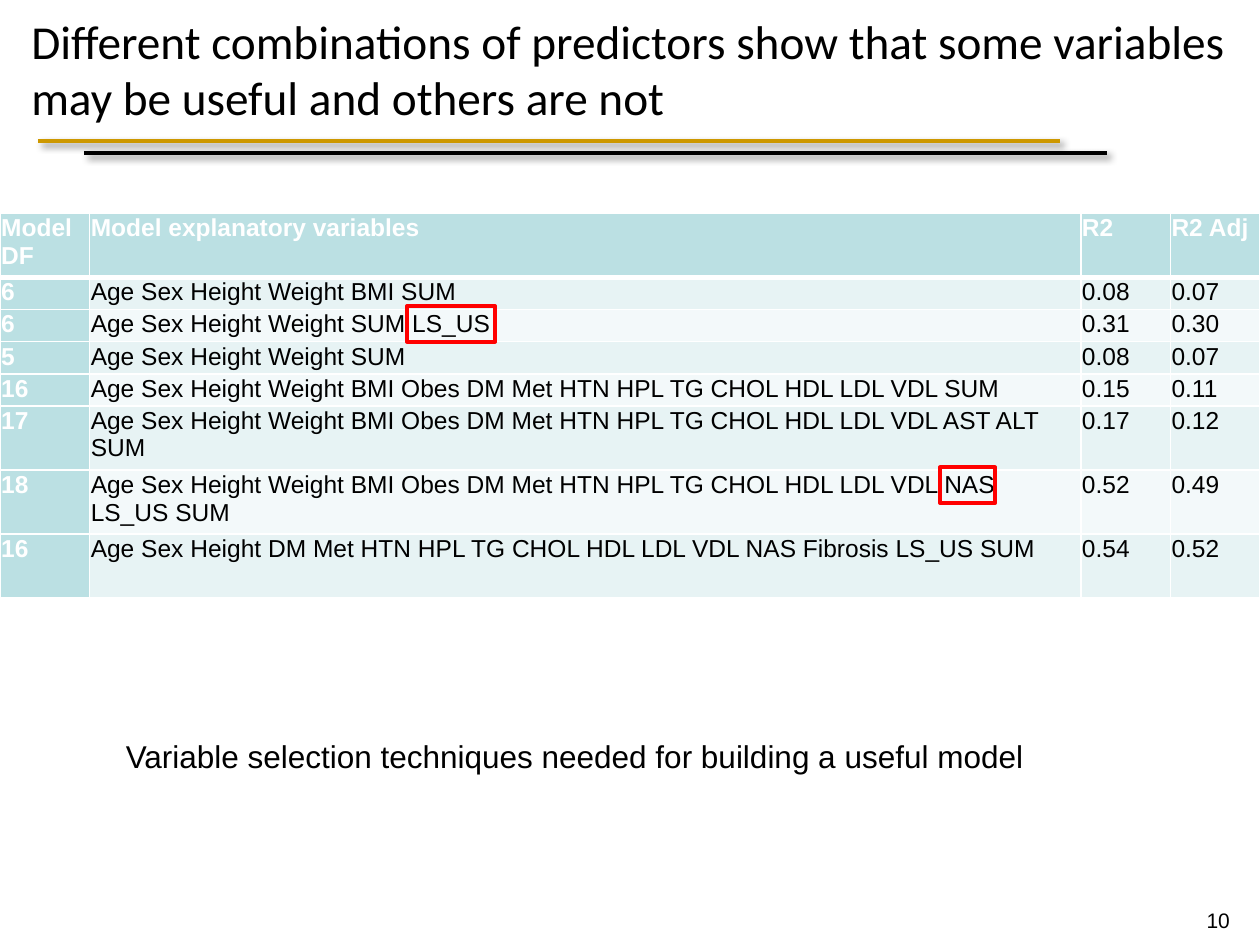
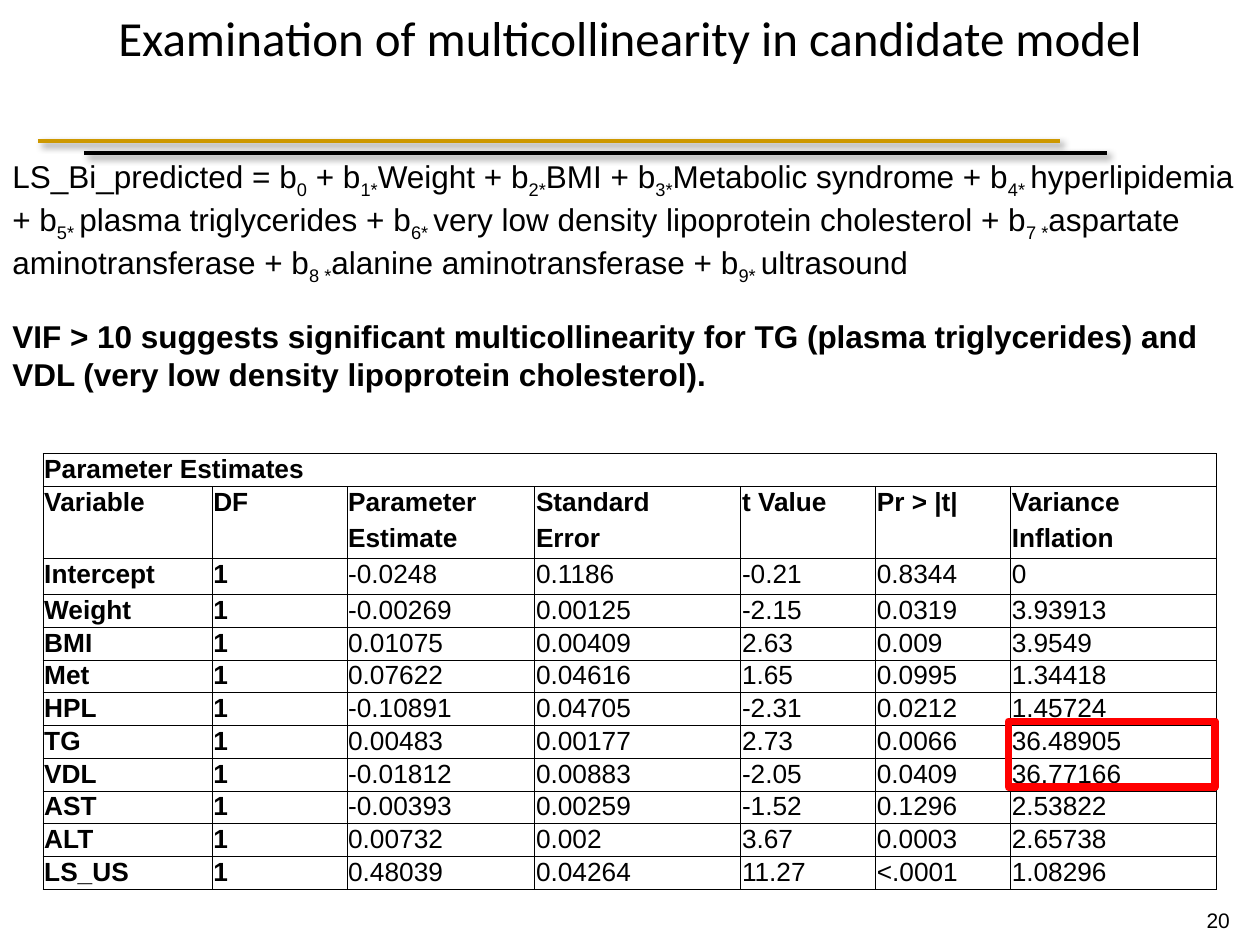
import dataclasses

import lxml.etree
import pptx
import pptx.dml.color
import pptx.enum.shapes
import pptx.enum.text
import pptx.oxml.ns
import pptx.util

Pt = pptx.util.Pt
Align = pptx.enum.text.PP_ALIGN
Anchor = pptx.enum.text.MSO_ANCHOR


@dataclasses.dataclass(frozen=True)
class Theme:
    ink: str = "000000"
    paper: str = "FFFFFF"
    gold: str = "CD9800"
    alert: str = "FF0000"
    head_fill: str = "BBE0E3"
    bands: tuple = ("E7F3F4", "F3F9FA")
    title_font: str = "Calibri"
    body_font: str = "Arial"
    title_size: float = 28
    long_title_size: float = 27
    body_size: float = 18
    estimates_size: float = 15
    models_size: float = 14
    number_size: float = 12


THEME = Theme()


def rgb(color):
    return pptx.dml.color.RGBColor.from_string(color)


def add_xml(parent, tag, **attributes):
    return lxml.etree.SubElement(parent, pptx.oxml.ns.qn(tag), attributes)


def write(frame, text, size=THEME.body_size, font=THEME.body_font, color=THEME.ink,
          bold=False, align=Align.LEFT):
    """Write one paragraph; parts inside braces become subscripts."""
    paragraph = frame.paragraphs[0]
    paragraph.alignment = align
    for position, part in enumerate(text.replace("}", "{").split("{")):
        if not part:
            continue
        run = paragraph.add_run()
        run.text = part
        run.font.size, run.font.name, run.font.bold = Pt(size), font, bold
        run.font.color.rgb = rgb(color)
        if position % 2:
            run.font._element.set("baseline", "-25000")
    if not text:
        add_xml(paragraph._p, "a:endParaRPr", sz=str(size * 100))


def set_borders(cell, color, widths):
    """Draw left, right, top and bottom borders; a width of 0 hides one."""
    properties = cell._tc.get_or_add_tcPr()
    for place, (side, width) in enumerate(zip("LRTB", widths)):
        border = add_xml(properties, "a:ln" + side, w=str(Pt(width)))
        if width:
            add_xml(add_xml(border, "a:solidFill"), "a:srgbClr", val=color)
        else:
            add_xml(border, "a:noFill")
        properties.insert(place, border)


class Deck:
    def __init__(self, theme):
        self.theme = theme
        self.presentation = pptx.Presentation()
        self.presentation.slide_width = Pt(720)
        self.presentation.slide_height = Pt(540)
        self.slide = None

    def start_slide(self, number):
        self.slide = self.presentation.slides.add_slide(self.presentation.slide_layouts[6])
        self.rule(48.2, 87.3, self.theme.ink)
        self.rule(21.6, 80.6, self.theme.gold)
        self.text(number, 629.3, 514.8, 80.6, 21.6, size=self.theme.number_size,
                  align=Align.RIGHT)

    def rule(self, left, top, color, width=584.2):
        line = self.slide.shapes.add_connector(
            pptx.enum.shapes.MSO_CONNECTOR.STRAIGHT, Pt(left), Pt(top), Pt(left + width), Pt(top))
        line.line.color.rgb = rgb(color)
        line.line.width = Pt(2.5)
        effects = add_xml(line._element.spPr, "a:effectLst")
        shadow = add_xml(effects, "a:outerShdw", blurRad=str(Pt(4)), dist=str(Pt(3)),
                         dir="2700000", algn="ctr", rotWithShape="0")
        shade = add_xml(shadow, "a:srgbClr", val=self.theme.ink)
        add_xml(shade, "a:alpha", val="43000")

    def text(self, text, left, top, width, height, anchor=Anchor.TOP, wrap=True, **style):
        box = self.slide.shapes.add_textbox(Pt(left), Pt(top), Pt(width), Pt(height))
        box.text_frame.word_wrap = wrap
        box.text_frame.vertical_anchor = anchor
        write(box.text_frame, text, **style)

    def title(self, text, left, top, **style):
        self.text(text, left, top, 720, 78.5, anchor=Anchor.MIDDLE,
                  font=self.theme.title_font, **style)

    def highlight(self, left, top, width, height, weight=2.25):
        frame = self.slide.shapes.add_shape(
            pptx.enum.shapes.MSO_SHAPE.RECTANGLE, Pt(left), Pt(top), Pt(width), Pt(height))
        frame.shadow.inherit = False
        frame.fill.background()
        frame.line.color.rgb = rgb(self.theme.alert)
        frame.line.width = Pt(weight)

    def table(self, rows, left, top, widths, heights, look, border, size, merges=()):
        """look(row, column) gives the fill, border widths and text format of a cell."""
        table = self.slide.shapes.add_table(
            len(rows), len(widths), Pt(left), Pt(top), Pt(sum(widths)), Pt(sum(heights))).table
        table.first_row = table.horz_banding = False
        for column, width in zip(table.columns, widths):
            column.width = Pt(width)
        for row, height in zip(table.rows, heights):
            row.height = Pt(height)
        for r, values in enumerate(rows):
            for c, value in enumerate(values):
                cell = table.cell(r, c)
                fill, border_widths, style = look(r, c)
                cell.margin_left = cell.margin_top = cell.margin_right = Pt(0.7)
                cell.margin_bottom = 0
                cell.fill.solid()
                cell.fill.fore_color.rgb = rgb(fill)
                set_borders(cell, border, border_widths)
                write(cell.text_frame, value, size=size, **style)
        for first, last in merges:
            table.cell(*first).merge(table.cell(*last))


LIPID_PANEL = "Age Sex Height Weight BMI Obes DM Met HTN HPL TG CHOL HDL LDL VDL"
MODELS = [
    ("Model DF", "Model explanatory variables", "R2", "R2 Adj"),
    ("6", "Age Sex Height Weight BMI SUM", "0.08", "0.07"),
    ("6", "Age Sex Height Weight SUM LS_US", "0.31", "0.30"),
    ("5", "Age Sex Height Weight SUM", "0.08", "0.07"),
    ("16", f"{LIPID_PANEL} SUM", "0.15", "0.11"),
    ("17", f"{LIPID_PANEL} AST ALT SUM", "0.17", "0.12"),
    ("18", f"{LIPID_PANEL} NAS LS_US SUM", "0.52", "0.49"),
    ("16", "Age Sex Height DM Met HTN HPL TG CHOL HDL LDL VDL NAS Fibrosis LS_US SUM",
     "0.54", "0.52"),
]

ESTIMATES = [
    ("Parameter Estimates", "", "", "", "", "", ""),
    ("Variable", "DF", "Parameter", "Standard", "t Value", "Pr > |t|", "Variance"),
    ("", "", "Estimate", "Error", "", "", "Inflation"),
    ("Intercept", "1", "-0.0248", "0.1186", "-0.21", "0.8344", "0"),
    ("Weight", "1", "-0.00269", "0.00125", "-2.15", "0.0319", "3.93913"),
    ("BMI", "1", "0.01075", "0.00409", "2.63", "0.009", "3.9549"),
    ("Met", "1", "0.07622", "0.04616", "1.65", "0.0995", "1.34418"),
    ("HPL", "1", "-0.10891", "0.04705", "-2.31", "0.0212", "1.45724"),
    ("TG", "1", "0.00483", "0.00177", "2.73", "0.0066", "36.48905"),
    ("VDL", "1", "-0.01812", "0.00883", "-2.05", "0.0409", "36.77166"),
    ("AST", "1", "-0.00393", "0.00259", "-1.52", "0.1296", "2.53822"),
    ("ALT", "1", "0.00732", "0.002", "3.67", "0.0003", "2.65738"),
    ("LS_US", "1", "0.48039", "0.04264", "11.27", "<.0001", "1.08296"),
]
SPLIT_HEADINGS = (2, 3, 6)

FORMULA = (
    "LS_Bi_predicted = b{0} + b{1*}Weight + b{2*}BMI + b{3*}Metabolic syndrome + "
    "b{4* }hyperlipidemia + b{5* }plasma triglycerides + "
    "b{6* }very low density lipoprotein cholesterol + b{7 *}aspartate aminotransferase + "
    "b{8 *}alanine aminotransferase + b{9* }ultrasound"
)


def model_look(row, column):
    heading = row == 0 or column == 0
    fill = THEME.head_fill if heading else THEME.bands[(row - 1) % 2]
    borders = (1, 1, 3 if row == 1 else 1, 3 if row == 0 else 1)
    return fill, borders, {"bold": heading, "color": THEME.paper if heading else THEME.ink}


def estimate_look(row, column):
    split = column in SPLIT_HEADINGS
    above = 0 if split and row == 2 else 0.5
    below = 0 if split and row == 1 else 0.5
    return THEME.paper, (0.5, 0.5, above, below), {"bold": row < 3 or column < 2}


def build_predictors(deck):
    deck.start_slide("10")
    deck.title("Different combinations of predictors show that some variables "
               "may be useful and others are not", 10.8, 0, size=THEME.long_title_size)
    deck.table(MODELS, 0, 121.8, [51.2, 566.4, 51.2, 51.2],
               [36.6] + [18.4] * 4 + [36.6] * 3,
               model_look, THEME.paper, THEME.models_size)
    deck.highlight(232.6, 175, 50.4, 20.2)
    deck.highlight(537.1, 267.1, 31.7, 20.2)
    deck.text("Variable selection techniques needed for building a useful model",
              64.8, 417.6, 528.5, 28.8, wrap=False)


def build_multicollinearity(deck):
    deck.start_slide("20")
    deck.title("Examination of multicollinearity in candidate model", 0, -18,
               size=THEME.title_size, align=Align.CENTER)
    deck.text(FORMULA, 0, 86.4, 720, 94.3)
    merges = [((0, 0), (0, 6))]
    merges += [((1, c), (2, c)) for c in range(7) if c not in SPLIT_HEADINGS]
    deck.table(ESTIMATES, 24.6, 259.2, [96.6, 77.1, 107.4, 117.7, 77.1, 77.1, 117.7],
               [18.8] + [20.6] * 3 + [18.45] * 9,
               estimate_look, THEME.ink, THEME.estimates_size, merges)
    deck.highlight(576.3, 412.3, 118.1, 37.4, weight=4.5)
    deck.text("VIF > 10 suggests significant multicollinearity for TG (plasma triglycerides) "
              "and VDL (very low density lipoprotein cholesterol).",
              0, 177.8, 720, 51.1, bold=True)


def main():
    deck = Deck(THEME)
    build_predictors(deck)
    build_multicollinearity(deck)
    deck.presentation.save("out.pptx")


if __name__ == "__main__":
    main()
